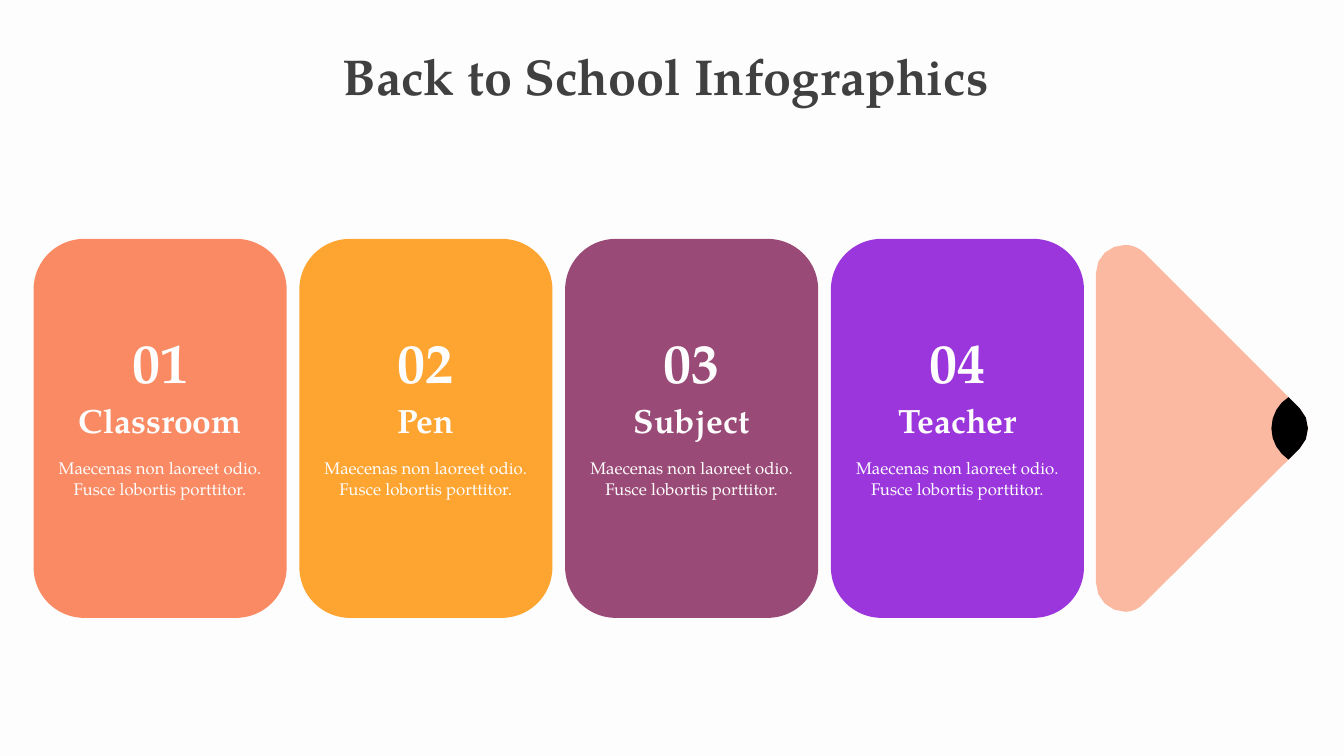
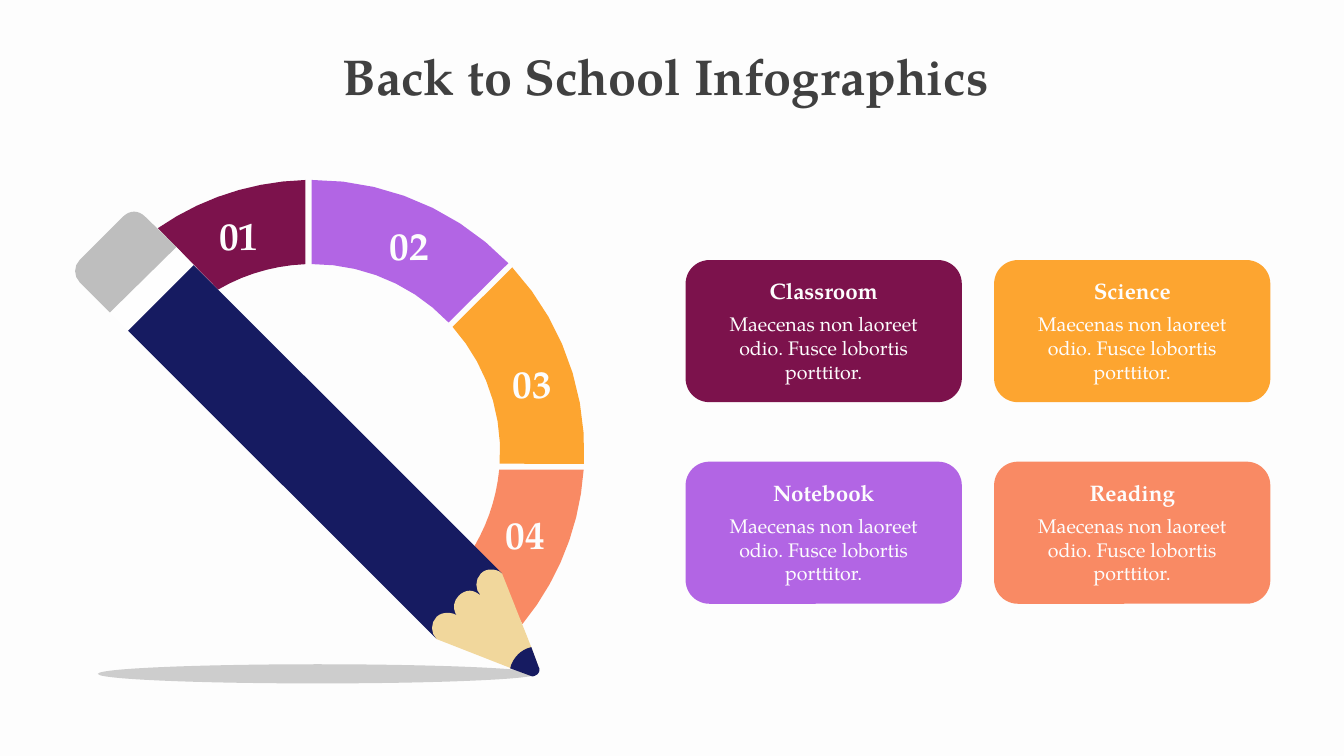
from math import cos, radians, sin

from lxml.etree import SubElement
from pptx import Presentation
from pptx.dml.color import RGBColor
from pptx.enum.shapes import MSO_SHAPE
from pptx.enum.text import MSO_ANCHOR, PP_ALIGN
from pptx.oxml.ns import qn
from pptx.util import Emu, Pt

EMU_PER_PX = 9144
SLIDE_WIDTH, SLIDE_HEIGHT = 1333, 750
FONT = "TeX Gyre Pagella"
TITLE = "Back to School Infographics "
BODY = "Maecenas non laoreet odio. Fusce lobortis porttitor."

PAPER = RGBColor(0xFD, 0xFD, 0xFD)
WHITE = RGBColor(0xFF, 0xFF, 0xFF)
BLACK = RGBColor(0x00, 0x00, 0x00)
CHARCOAL = RGBColor(0x40, 0x40, 0x40)
CORAL = RGBColor(0xF8, 0x67, 0x34)
PEACH = RGBColor(0xFB, 0xA4, 0x85)
ORANGE = RGBColor(0xFD, 0xA5, 0x30)
PLUM = RGBColor(0x7C, 0x12, 0x4C)
PURPLE = RGBColor(0x9B, 0x36, 0xDD)
NAVY = RGBColor(0x16, 0x1B, 0x61)
WOOD = RGBColor(0xF1, 0xD7, 0x9C)
GREY = RGBColor(0xBE, 0xBE, 0xBE)
SOFT = 76  # opacity of the lighter fills, in percent

# Outlines: a pair is a straight line, six numbers are a cubic curve.
SHARPENED_END = [
    (1116, 243), (1101, 243, 1087, 254, 1087, 271), (1087, 578),
    (1087, 595, 1101, 607, 1116, 607), (1123, 607, 1130, 604, 1135, 598),
    (1289, 445), (1300, 434, 1300, 416, 1289, 405), (1135, 251),
    (1130, 246, 1123, 243, 1116, 243),
]
SHARPENED_LEAD = [
    (1278, 394), (1268, 400, 1261, 412, 1261, 425),
    (1261, 438, 1268, 449, 1278, 456), (1289, 445),
    (1300, 434, 1300, 416, 1289, 405),
]
PENCIL_BODY = [(192, 263), (127, 328), (433, 634), (498, 569)]
PENCIL_WOOD = [
    (487, 565), (483, 565, 480, 566, 477, 569), (471, 575, 471, 585, 477, 591),
    (473, 588, 470, 586, 466, 586), (462, 586, 458, 588, 455, 591),
    (450, 596, 449, 603, 452, 609), (455, 612),
    (452, 609, 448, 608, 444, 608), (440, 608, 436, 609, 433, 612),
    (427, 618, 427, 628, 433, 634), (525, 670),
    (530, 672, 537, 666, 534, 661), (527, 642), (498, 569),
    (495, 566, 491, 565, 487, 565),
]
PENCIL_LEAD = [
    (527, 642), (522, 643, 517, 646, 514, 649), (510, 653, 507, 658, 506, 663),
    (525, 670), (528, 671), (530, 671, 531, 670, 533, 669),
    (535, 667, 536, 664, 534, 661),
]
PENCIL_BAND = [(175, 245), (109, 310), (127, 328), (192, 263)]
PENCIL_ERASER = [
    (133, 210), (129, 210, 125, 212, 122, 215), (79, 258),
    (73, 264, 73, 274, 79, 280), (109, 310), (175, 245), (144, 215),
    (141, 212, 137, 210, 133, 210),
]


def px(length):
    return Emu(round(length * EMU_PER_PX))


def paint(shape, color, opacity=100):
    shape.shadow.inherit = False
    shape.line.fill.background()
    shape.fill.solid()
    shape.fill.fore_color.rgb = color
    if opacity < 100:
        color_element = shape._element.spPr.find(".//" + qn("a:srgbClr"))
        SubElement(color_element, qn("a:alpha"), val=str(opacity * 1000))


def add_preset(slide, preset, box, color, opacity=100):
    shape = slide.shapes.add_shape(preset, *map(px, box))
    paint(shape, color, opacity)
    return shape


def add_rounded(slide, box, color, opacity, rounding):
    shape = add_preset(slide, MSO_SHAPE.ROUNDED_RECTANGLE, box, color, opacity)
    shape.adjustments[0] = rounding
    return shape


def flatten(path, steps=4):
    """Turn lines and cubic curves into a list of points."""
    points = [path[0]]
    for part in path[1:]:
        if len(part) == 2:
            points.append(part)
            continue
        controls = [points[-1], part[0:2], part[2:4], part[4:6]]
        for step in range(1, steps + 1):
            t = step / steps
            weights = ((1 - t) ** 3, 3 * t * (1 - t) ** 2, 3 * t * t * (1 - t), t ** 3)
            points.append(tuple(
                sum(weight * control[axis] for weight, control in zip(weights, controls))
                for axis in (0, 1)))
    return points


def add_outline(slide, path, color, opacity=100):
    points = [(px(x), px(y)) for x, y in flatten(path)]
    builder = slide.shapes.build_freeform(*points[0])
    builder.add_line_segments(points[1:], close=True)
    paint(builder.convert_to_shape(), color, opacity)


def arc(center, radius, start, end, steps=7):
    """Points on a circle, in degrees clockwise from the right."""
    angles = [radians(start + (end - start) * step / steps) for step in range(steps + 1)]
    return [(center[0] + radius * cos(a), center[1] + radius * sin(a)) for a in angles]


def write(frame, text, size, bold=False, color=PAPER, space_before=0):
    """Fill the first paragraph of the frame, or add one after its text."""
    paragraph = frame.add_paragraph() if frame.text else frame.paragraphs[0]
    paragraph.alignment = PP_ALIGN.CENTER
    paragraph.space_before = Pt(space_before)
    run = paragraph.add_run()
    run.text = text
    run.font.name = FONT
    run.font.size = Pt(size)
    run.font.bold = bold
    run.font.color.rgb = color


def add_frame(slide, box, anchor=MSO_ANCHOR.MIDDLE, vertical=10):
    frame = slide.shapes.add_textbox(*map(px, box)).text_frame
    frame.word_wrap = True
    frame.vertical_anchor = anchor
    frame.margin_left = frame.margin_right = px(10)
    frame.margin_top = frame.margin_bottom = px(vertical)
    return frame


def add_label(slide, box, text, **text_format):
    write(add_frame(slide, box), text, **text_format)


def add_titled_slide(presentation):
    slide = presentation.slides.add_slide(presentation.slide_layouts[6])
    frame = add_frame(slide, (0, 40, SLIDE_WIDTH, 71), MSO_ANCHOR.TOP, vertical=5)
    write(frame, TITLE, size=36, bold=True, color=CHARCOAL)
    return slide


def add_pencil_cards(slide):
    cards = [("Classroom", CORAL, SOFT), ("Pen", ORANGE, 100),
             ("Subject", PLUM, SOFT), ("Teacher", PURPLE, 100)]
    width, pitch = 251, 263.6
    for index, (heading, color, opacity) in enumerate(cards):
        left = 33.3 + index * pitch
        add_rounded(slide, (left, 237, width, 376), color, opacity, 0.2)
        add_label(slide, (left, 314, width, 88), f"{index + 1:02}", size=40, bold=True)
        add_label(slide, (left, 386, width, 61), heading, size=24, bold=True)
        add_label(slide, (left, 440, width, 69), BODY, size=12, space_before=6)
    add_outline(slide, SHARPENED_END, PEACH, SOFT)
    add_outline(slide, SHARPENED_LEAD, BLACK)


def add_ring(slide):
    center, outer, inner = (310, 448), 269.5, 186
    # Outer start and end, inner start and end, colour, opacity
    segments = [
        (-124.7, -91.5, -120.2, -92.2, PLUM, 100),
        (-90.2, -43.9, -90.3, -43.5, PURPLE, SOFT),
        (-42.7, 2.6, -41.7, 3.7, ORANGE, 100),
        (3.8, 39.4, 5.5, 30.2, CORAL, SOFT),
    ]
    for outer_start, outer_end, inner_start, inner_end, color, opacity in segments:
        path = (arc(center, outer, outer_start, outer_end)
                + arc(center, inner, inner_end, inner_start))
        add_outline(slide, path, color, opacity)


def add_pencil(slide):
    add_outline(slide, PENCIL_BODY, NAVY)
    add_outline(slide, PENCIL_WOOD, WOOD)
    add_outline(slide, PENCIL_LEAD, NAVY)
    add_outline(slide, PENCIL_BAND, WHITE, SOFT)
    add_outline(slide, PENCIL_ERASER, GREY)


def add_ring_numbers(slide):
    corners = [(179, 204), (348, 214), (470, 351), (463, 501)]
    for number, (left, top) in enumerate(corners, 1):
        add_label(slide, (left, top, 116, 57), f"{number:02}", size=28, bold=True)


def add_topic_grid(slide):
    topics = [("Classroom", PLUM, 100), ("Science", ORANGE, 100),
              ("Notebook", PURPLE, SOFT), ("Reading", CORAL, SOFT)]
    for index, (heading, color, opacity) in enumerate(topics):
        row, column = divmod(index, 2)
        left, top = 680 + column * 306, 258 + row * 200
        add_rounded(slide, (left, top, 274, 141), color, opacity, 0.167)
        frame = add_frame(slide, (left + 16, top + 12, 242, 116),
                          MSO_ANCHOR.TOP, vertical=5)
        write(frame, heading, size=16, bold=True)
        write(frame, BODY, size=14, space_before=6)


def main():
    presentation = Presentation()
    presentation.slide_width = px(SLIDE_WIDTH)
    presentation.slide_height = px(SLIDE_HEIGHT)
    background = presentation.slide_master.background.fill
    background.solid()
    background.fore_color.rgb = PAPER

    add_pencil_cards(add_titled_slide(presentation))

    ring_slide = add_titled_slide(presentation)
    add_preset(ring_slide, MSO_SHAPE.OVAL, (97, 659, 436, 19), GREY, SOFT)
    add_ring(ring_slide)
    add_pencil(ring_slide)
    add_ring_numbers(ring_slide)
    add_topic_grid(ring_slide)

    presentation.save("out.pptx")


if __name__ == "__main__":
    main()
